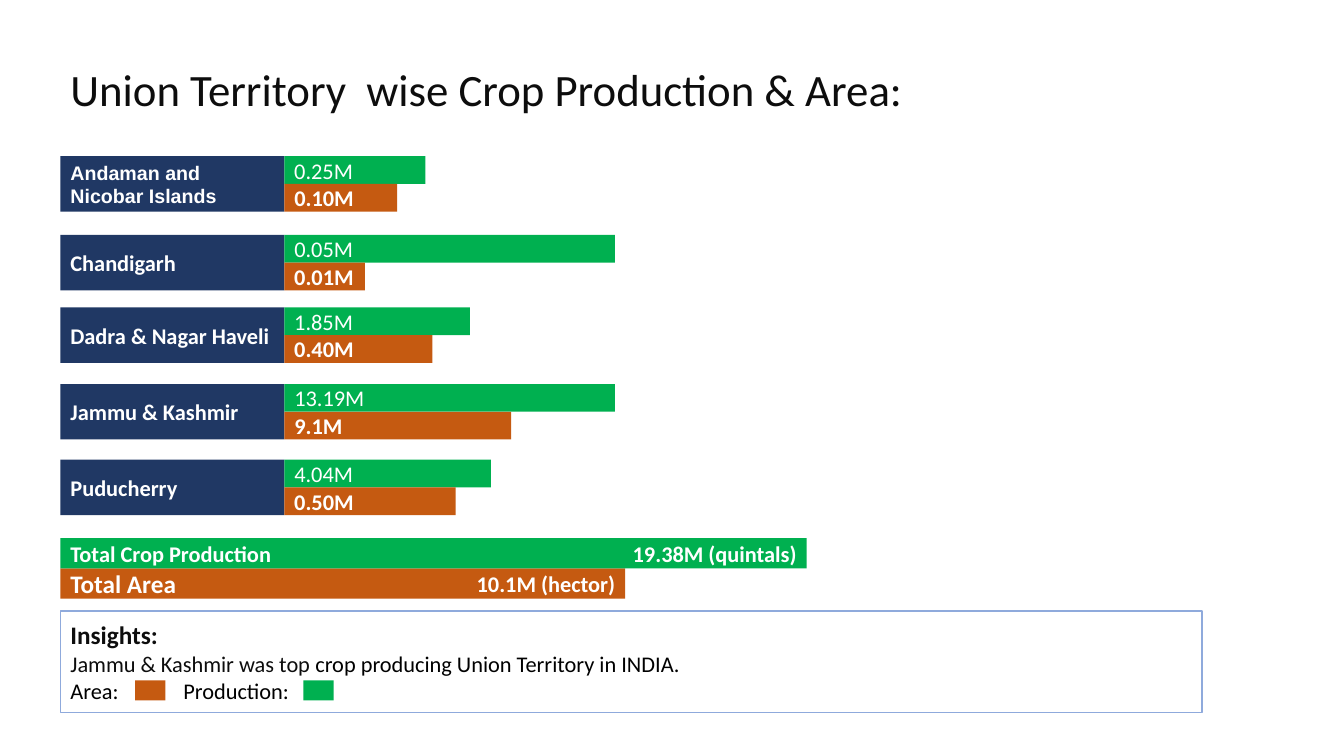
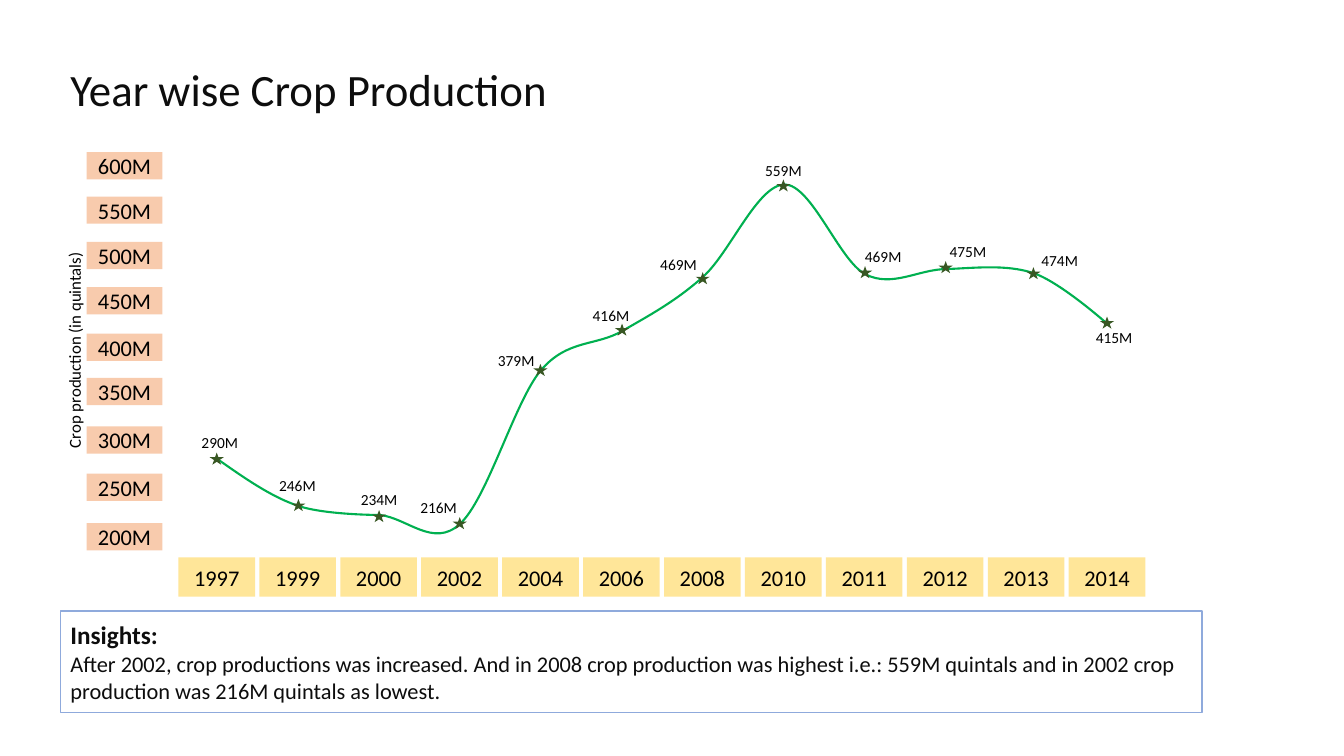
from pptx import Presentation
from pptx.dml.color import RGBColor
from pptx.enum.shapes import MSO_SHAPE as Preset
from pptx.enum.text import MSO_ANCHOR as Anchor, PP_ALIGN as Align
from pptx.oxml.ns import qn
from pptx.util import Inches, Pt
from lxml import etree

NAVY, GREEN, ORANGE = "203864", "00B050", "C55A11"
SAND, PEACH, STAR_GREEN, FRAME = "FFE699", "F8CBAD", "385723", "8FAADC"
INK, BLACK, WHITE = "0D0D0D", "000000", "FFFFFF"
LEFT = 0.6


def add_box(slide, left, top, width, height, fill=None, line=None, kind=Preset.RECTANGLE):
    """Add a preset shape, or a text box when kind is None."""
    frame = [Inches(value) for value in (left, top, width, height)]
    if kind is None:
        shape = slide.shapes.add_textbox(*frame)
    else:
        shape = slide.shapes.add_shape(kind, *frame)
        shape.shadow.inherit = False
        if fill:
            shape.fill.solid()
            shape.fill.fore_color.rgb = RGBColor.from_string(fill)
        else:
            shape.fill.background()
        if line:
            shape.line.color.rgb = RGBColor.from_string(line)
            shape.line.width = Pt(1)
        else:
            shape.line.fill.background()
    shape.text_frame.word_wrap = True
    shape.text_frame.vertical_anchor = Anchor.MIDDLE
    return shape


def add_text(shape, text, size=16, color=BLACK, bold=False, font="Calibri",
             align=Align.LEFT, same_line=False):
    """Write a new paragraph, or continue the last one with same_line."""
    paragraph = shape.text_frame.paragraphs[-1]
    if paragraph.runs and not same_line:
        paragraph = shape.text_frame.add_paragraph()
    paragraph.alignment = align
    run = paragraph.add_run()
    run.text = text
    run.font.name, run.font.size, run.font.bold = font, Pt(size), bold
    run.font.color.rgb = RGBColor.from_string(color)
    return paragraph


presentation = Presentation()
presentation.slide_width, presentation.slide_height = Inches(13.33), Inches(7.5)

# Shared title and insights frame
pages = []
for title in ("Union Territory  wise Crop Production & Area:", "Year wise Crop Production"):
    slide = presentation.slides.add_slide(presentation.slide_layouts[6])
    add_text(add_box(slide, LEFT, 0.51, 10.34, 0.73, kind=None), title, size=32, color=INK)
    insights = add_box(slide, LEFT, 6.06, 11.32, 1.01, line=FRAME)
    add_text(insights, "Insights:", size=18, color=INK, bold=True)
    pages.append((slide, insights))

# Slide 1: territory bars
slide, insights = pages[0]
BAR_LEFT, ROW_HEIGHT = 2.82, 0.55
BAR_HEIGHT = ROW_HEIGHT / 2
territories = [
    # name, top, production, bar width, area, bar width
    ("Andaman and Nicobar Islands", 1.55, "0.25M", 1.4, "0.10M", 1.12),
    ("Chandigarh", 2.33, "0.05M", 3.28, "0.01M", 0.8),
    ("Dadra & Nagar Haveli", 3.05, "1.85M", 1.84, "0.40M", 1.47),
    ("Jammu & Kashmir", 3.81, "13.19M", 3.28, "9.1M", 2.25),
    ("Puducherry", 4.56, "4.04M", 2.05, "0.50M", 1.7),
]
for name, top, production, production_width, area, area_width in territories:
    label = add_box(slide, LEFT, top, BAR_LEFT - LEFT, ROW_HEIGHT, NAVY)
    is_long = len(name) > 20
    add_text(label, name, size=14 if is_long else 16, font="Arial" if is_long else "Calibri",
             color=WHITE, bold=True)
    bar = add_box(slide, BAR_LEFT, top, production_width, BAR_HEIGHT, GREEN)
    add_text(bar, production, color=WHITE)
    bar = add_box(slide, BAR_LEFT, top + BAR_HEIGHT, area_width, BAR_HEIGHT, ORANGE)
    add_text(bar, area, color=WHITE, bold=True)

# Totals
for name, size, top, width, fill, total, total_top, total_width, total_height in [
    ("Total Area", 18, 5.64, 5.6, ORANGE, "10.1M (hector)", 5.63, 3.9, 0.31),
    ("Total Crop Production", 16, 5.34, 7.4, GREEN, "19.38M (quintals)", 5.36, 4.9, 0.27),
]:
    bar = add_box(slide, LEFT, top, width, 0.3, fill)
    add_text(bar, name, size=size, color=WHITE, bold=True)
    value = add_box(slide, LEFT + width - total_width, total_top, total_width, total_height,
                    kind=None)
    add_text(value, total, color=WHITE, bold=True, align=Align.RIGHT)

# Insight and legend
add_text(insights, "Jammu & Kashmir was top ", color=INK)
add_text(insights, "crop producing Union Territory in INDIA.", same_line=True)
legend = add_text(insights, "Area:\tProduction:")
tab_list = etree.SubElement(legend._p.get_or_add_pPr(), qn("a:tabLst"))
etree.SubElement(tab_list, qn("a:tab"), pos=str(Inches(1.12)), algn="l")
for left, fill in ((1.34, ORANGE), (3.01, GREEN)):
    add_box(slide, left, 6.75, 0.3, 0.2, fill)

# Slide 2: insight
slide, insights = pages[1]
add_text(insights, "After 2002, crop productions was increased. And in 2008 crop production was "
         "highest i.e.: 559M quintals and in 2002 crop production was 216M quintals as lowest.",
         color=INK)

# Production curve: two control points and an end point per Bézier segment
CURVE_LEFT, CURVE_TOP, CURVE_HEIGHT = 2.15, 1.83, 3.46
segments = [
    ((2.42, 4.74), (2.69, 4.93), (2.96, 5.02)),
    ((3.23, 5.11), (3.77, 5.11), (3.77, 5.11)),
    ((4.04, 5.14), (4.3, 5.44), (4.56, 5.2)),
    ((4.83, 4.96), (5.1, 4), (5.36, 3.68)),
    ((5.63, 3.36), (5.91, 3.44), (6.18, 3.28)),
    ((6.44, 3.13), (6.7, 2.99), (6.97, 2.75)),
    ((7.24, 2.51), (7.51, 1.84), (7.78, 1.83)),
    ((8.05, 1.83), (8.32, 2.58), (8.58, 2.72)),
    ((8.85, 2.86), (9.11, 2.67), (9.39, 2.67)),
    ((9.66, 2.66), (9.98, 2.62), (10.25, 2.71)),
    ((10.52, 2.8), (10.99, 3.22), (10.99, 3.22)),
]
builder = slide.shapes.build_freeform(Inches(CURVE_LEFT), Inches(4.55))
builder.add_line_segments([(Inches(x), Inches(y)) for _, _, (x, y) in segments], close=False)
curve = builder.convert_to_shape()
curve.shadow.inherit = False
curve.fill.background()
curve.line.color.rgb = RGBColor.from_string(GREEN)
curve.line.width = Pt(1.5)

# Turn the straight segments into Bézier segments; the curve dips below its end points
curve.height = Inches(CURVE_HEIGHT)
outline = next(curve._element.iter(qn("a:path")))
outline.set("h", str(Inches(CURVE_HEIGHT)))
for straight, segment in zip(outline.findall(qn("a:lnTo")), segments):
    bezier = etree.Element(qn("a:cubicBezTo"))
    for x, y in segment:
        etree.SubElement(bezier, qn("a:pt"), x=str(Inches(x - CURVE_LEFT)),
                         y=str(Inches(y - CURVE_TOP)))
    outline.replace(straight, bezier)

# Value scale
scale_tops = [5.19, 4.7, 4.23, 3.75, 3.31, 2.85, 2.4, 1.95, 1.51]
for value, top in zip(range(200, 601, 50), scale_tops):
    add_text(add_box(slide, 0.86, top, 0.75, 0.27, PEACH), f"{value}M", align=Align.CENTER)

# Years, star markers and value labels
years = [
    # year, value, star left, star top, label left, label top
    (1997, 290, 2.08, 4.49, 1.87, 4.26),
    (1999, 246, 2.89, 4.95, 2.64, 4.69),
    (2000, 234, 3.69, 5.06, 3.45, 4.83),
    (2002, 216, 4.49, 5.13, 4.04, 4.91),
    (2004, 379, 5.29, 3.61, 4.81, 3.45),
    (2006, 416, 6.1, 3.21, 5.75, 3),
    (2008, 469, 6.9, 2.7, 6.42, 2.5),
    (2010, 559, 7.7, 1.78, 7.46, 1.56),
    (2011, 469, 8.51, 2.64, 8.45, 2.42),
    (2012, 475, 9.31, 2.59, 9.29, 2.37),
    (2013, 474, 10.18, 2.65, 10.2, 2.46),
    (2014, 415, 10.91, 3.14, 10.74, 3.22),
]
FIRST_YEAR, LAST_YEAR = 1.77, 10.6
year_pitch = (LAST_YEAR - FIRST_YEAR) / (len(years) - 1)
for index, (year, value, star_left, star_top, label_left, label_top) in enumerate(years):
    cell = add_box(slide, FIRST_YEAR + index * year_pitch, 5.53, 0.76, 0.39, SAND)
    add_text(cell, str(year), align=Align.CENTER)
    add_box(slide, star_left, star_top, 0.14, 0.12, STAR_GREEN, kind=Preset.STAR_5_POINT)
    label = add_box(slide, label_left, label_top, 0.62, 0.25, kind=None)
    add_text(label, f"{value}M", size=11, align=Align.CENTER)

# Axis title
axis_title = add_box(slide, -1.23, 3.34, 3.93, 0.27, kind=None)
axis_title.rotation = 270
add_text(axis_title, "Crop production (in quintals)", size=12, align=Align.CENTER)

presentation.save("out.pptx")
